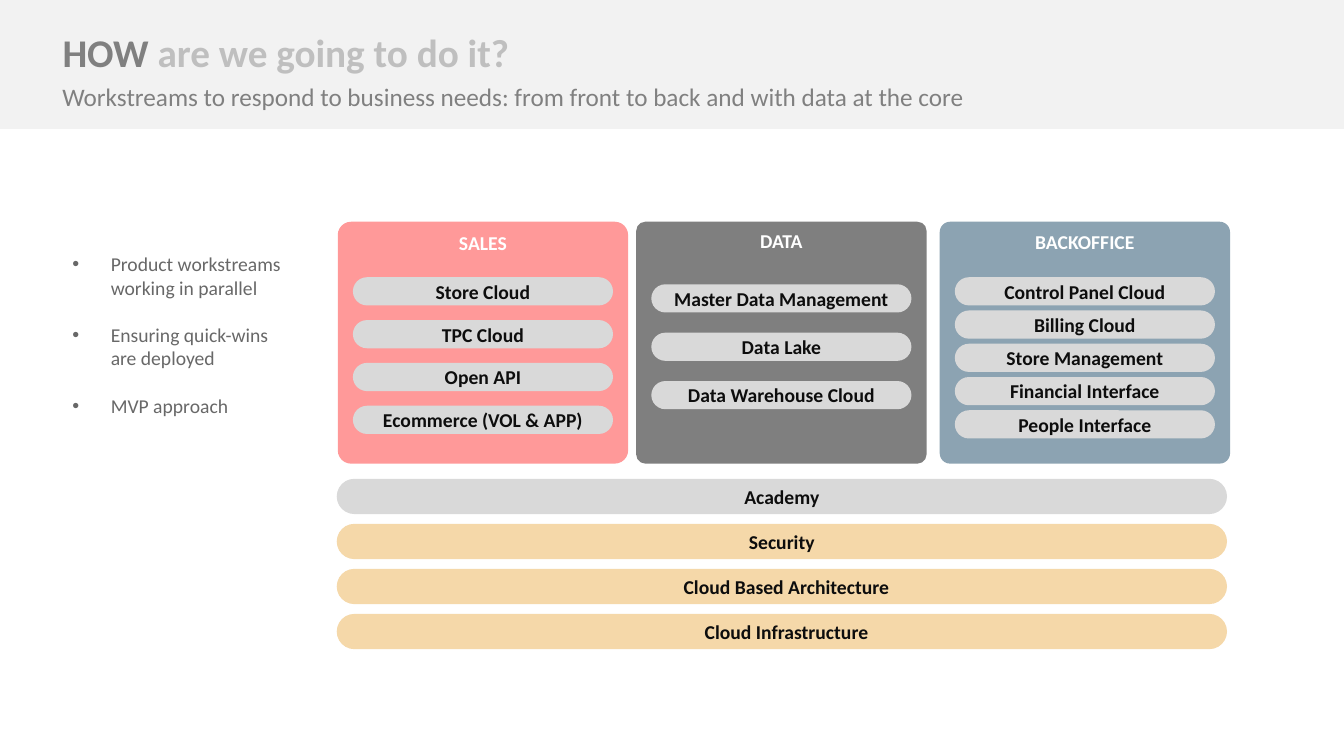
from dataclasses import dataclass

from lxml.etree import SubElement
from pptx import Presentation
from pptx.dml.color import RGBColor
from pptx.enum.shapes import MSO_SHAPE
from pptx.enum.text import MSO_ANCHOR, MSO_AUTO_SIZE, PP_ALIGN
from pptx.oxml.ns import qn
from pptx.util import Inches, Pt


@dataclass(frozen=True)
class Theme:
    """Fonts, type sizes and colours of the slide."""
    font: str = "Calibri"
    title_size: int = 28
    subtitle_size: int = 18
    body_size: int = 14
    band: str = "F2F2F2"
    strong: str = "808080"
    soft: str = "BFBFBF"
    bullet: str = "686868"
    ink: str = "0D0D0D"
    white: str = "FFFFFF"
    pill: str = "D9D9D9"
    sales: str = "FF9999"
    data: str = "7F7F7F"
    backoffice: str = "8CA3B2"
    foundation: str = "F5D8A9"


THEME = Theme()

PANELS = [
    ("SALES", THEME.sales, 3.35, 0.055, 0.55, 0.425,
     ["Store Cloud", "TPC Cloud", "Open API", "Ecommerce (VOL & APP)"]),
    ("DATA", THEME.data, 6.31, 0.038, 0.62, 0.48,
     ["Master Data Management", "Data Lake", "Data Warehouse Cloud"]),
    ("BACKOFFICE", THEME.backoffice, 9.32, 0.043, 0.55, 0.33,
     ["Control Panel Cloud", "Billing Cloud", "Store Management",
      "Financial Interface", "People Interface"]),
]
BARS = [
    ("Academy", THEME.pill, 0.1),
    ("Security", THEME.foundation, 0.1),
    ("Cloud Based Architecture", THEME.foundation, 0.19),
    ("Cloud Infrastructure", THEME.foundation, 0.19),
]
POINTS = ["Product workstreams working in parallel",
          "Ensuring quick-wins are deployed", "MVP approach"]


def add_text(para, text, size=THEME.body_size, color=THEME.ink, bold=False,
             align=PP_ALIGN.LEFT, line_spacing=None):
    """Append a formatted span to a paragraph."""
    para.alignment = align
    if line_spacing:
        para.line_spacing = line_spacing
    span = para.add_run()
    span.text = text
    span.font.name = THEME.font
    span.font.size = Pt(size)
    span.font.bold = bold
    span.font.color.rgb = RGBColor.from_string(color)


def add_block(shapes, box, fill, kind=MSO_SHAPE.ROUNDED_RECTANGLE, radius=0.5):
    """Add a flat filled shape without an outline."""
    block = shapes.add_shape(kind, *map(Inches, box))
    block.shadow.inherit = False
    block.fill.solid()
    block.fill.fore_color.rgb = RGBColor.from_string(fill)
    block.line.fill.background()
    if kind == MSO_SHAPE.ROUNDED_RECTANGLE:
        block.adjustments[0] = radius
    return block


def add_label(shapes, box, text, fill, inset=0.1):
    """Add a pill with a bold centred label."""
    pill = add_block(shapes, box, fill)
    frame = pill.text_frame
    frame.vertical_anchor = MSO_ANCHOR.MIDDLE
    frame.margin_left = Inches(inset)
    frame.margin_top = frame.margin_bottom = 0
    add_text(frame.paragraphs[0], text, bold=True, align=PP_ALIGN.CENTER)


def add_header(page, box):
    """Draw the header band with the title and the subtitle."""
    left, top, width, height = box
    band = add_block(page.shapes, box, THEME.band, kind=MSO_SHAPE.RECTANGLE)
    title = page.shapes.title
    band.element.addnext(title.element)
    title.left, title.top = Inches(left + 0.52), Inches(top + 0.22)
    title.width, title.height = Inches(10.24), Inches(0.69)
    subtitle = page.shapes.add_textbox(
        Inches(left + 0.52), Inches(top + 0.81), Inches(width - 0.86), Inches(0.37))
    for holder in (title, subtitle):
        holder.text_frame.word_wrap = True
        holder.text_frame.auto_size = MSO_AUTO_SIZE.NONE
        holder.text_frame.vertical_anchor = MSO_ANCHOR.MIDDLE
    para = title.text_frame.paragraphs[0]
    for text, color in (("HOW ", THEME.strong), ("are we going to do it?", THEME.soft)):
        add_text(para, text, size=THEME.title_size, color=color, bold=True, line_spacing=0.9)
    add_text(subtitle.text_frame.paragraphs[0],
             "Workstreams to respond to business needs: from front to back "
             "and with data at the core",
             size=THEME.subtitle_size, color=THEME.strong, line_spacing=0.9)


def add_points(page, box, points):
    """Write the bulleted list on the left."""
    frame = page.shapes.add_textbox(*map(Inches, box)).text_frame
    frame.word_wrap = True
    for index, text in enumerate(points):
        para = frame.add_paragraph() if index else frame.paragraphs[0]
        para.space_after = Pt(17)
        add_text(para, text, color=THEME.bullet)
        properties = para._p.get_or_add_pPr()
        properties.set("marL", str(Inches(0.38)))
        properties.set("indent", str(Inches(-0.38)))
        SubElement(properties, qn("a:buFont"), typeface="Arial")
        SubElement(properties, qn("a:buChar"), char="•")


def add_panel(page, box, heading, fill, radius, offset, pitch, items):
    """Draw one workstream panel with its evenly spaced pills."""
    left, top, width, height = box
    shapes = page.shapes.add_group_shape().shapes
    panel = add_block(shapes, box, fill, radius=radius)
    panel.text_frame.vertical_anchor = MSO_ANCHOR.TOP
    add_text(panel.text_frame.paragraphs[0], heading, color=THEME.white,
             bold=True, align=PP_ALIGN.CENTER)
    for index, item in enumerate(items):
        pill_box = (left + 0.15, top + offset + index * pitch, width - 0.3, 0.28)
        add_label(shapes, pill_box, item, THEME.pill)


def add_bars(page, box, bars):
    """Stack the full-width foundation bars."""
    left, top, width, height = box
    bar_height = 0.35
    pitch = (height - bar_height) / (len(bars) - 1)
    for index, (text, fill, inset) in enumerate(bars):
        add_label(page.shapes, (left, top + index * pitch, width, bar_height),
                  text, fill, inset=inset)


def main():
    """Build and save the deck."""
    deck = Presentation()
    deck.slide_width, deck.slide_height = Inches(13.33), Inches(7.5)
    page = deck.slides.add_slide(deck.slide_layouts.get_by_name("Title Only"))
    add_header(page, (0, -0.02, 13.33, 1.3))
    add_points(page, (0.62, 2.45, 2.42, 1.99), POINTS)
    for heading, fill, left, radius, offset, pitch, items in PANELS:
        add_panel(page, (left, 2.2, 2.88, 2.4), heading, fill, radius, offset, pitch, items)
    add_bars(page, (3.34, 4.75, 8.83, 1.69), BARS)
    deck.save("out.pptx")


if __name__ == "__main__":
    main()
